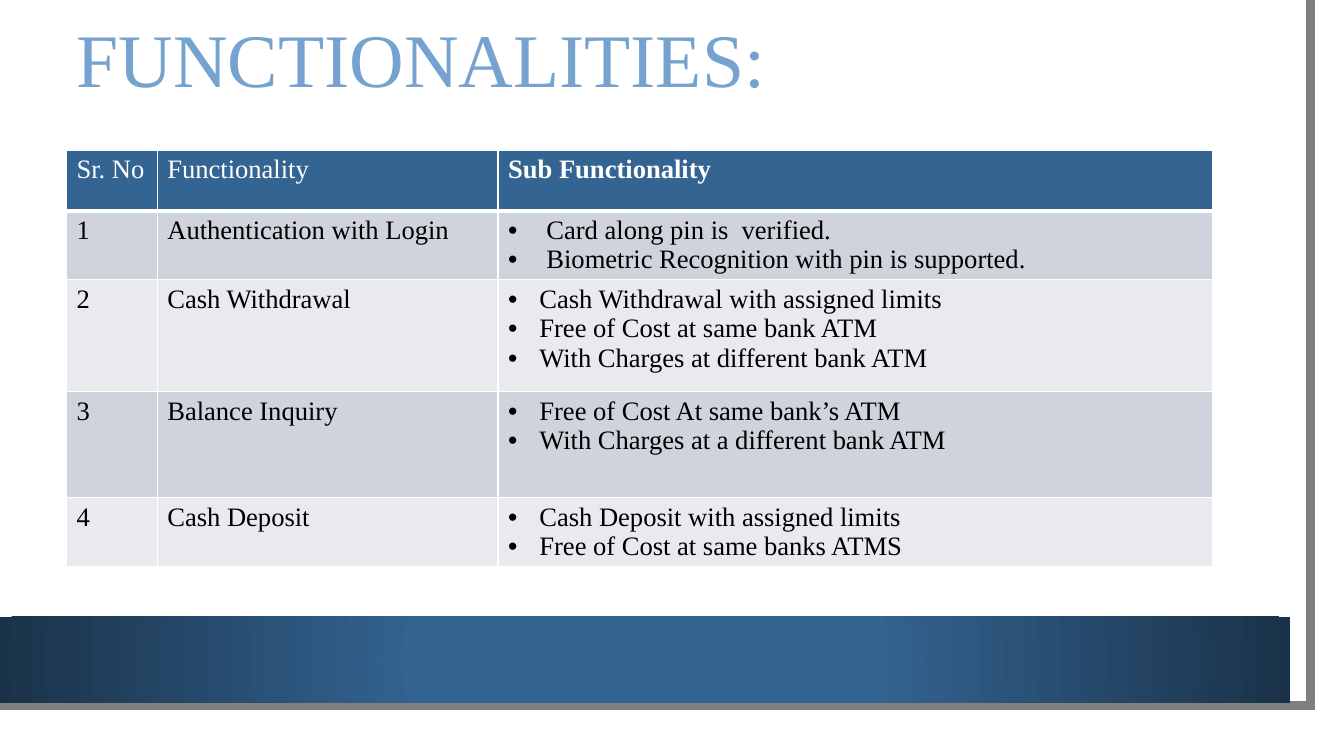
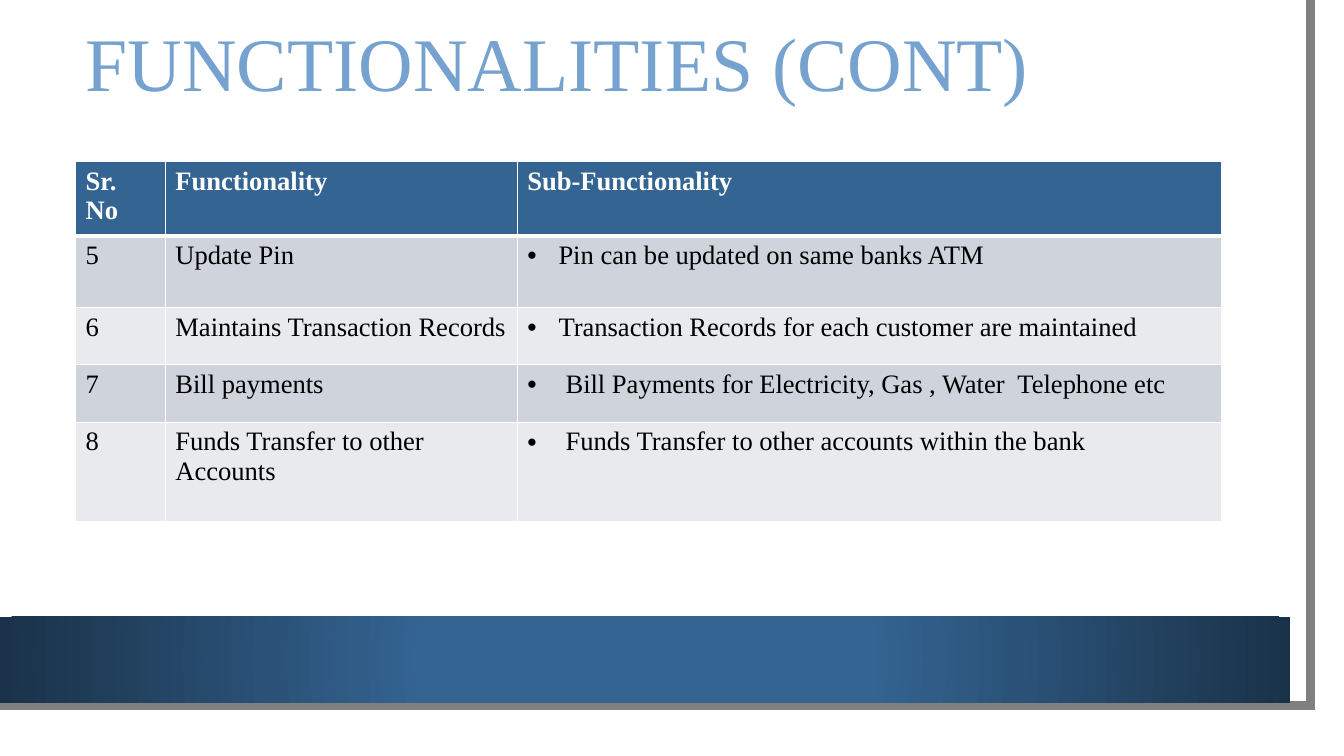
from lxml import etree
from pptx import Presentation
from pptx.dml.color import RGBColor
from pptx.enum.shapes import MSO_SHAPE
from pptx.enum.text import MSO_ANCHOR, MSO_AUTO_SIZE, PP_ALIGN
from pptx.oxml.ns import qn
from pptx.util import Inches, Pt

RECTANGLE = MSO_SHAPE.RECTANGLE
MIDDLE = MSO_ANCHOR.MIDDLE
LEFT = PP_ALIGN.LEFT
NO_AUTOFIT = MSO_AUTO_SIZE.NONE
TITLE_ONLY = 5

FONT = "Times New Roman"
WHITE, BLACK, GRAY = "FFFFFF", "000000", "808080"
BLUE, DARK_BLUE, LIGHT_BLUE = "346492", "1A3249", "75A2CE"
ROW_FILLS = ("CED3DC", "E8EAEE")
TITLE_FONT = {"name": FONT, "size": Pt(54), "bold": False}
TABLE_FONT = {"name": FONT, "size": Pt(19)}
TABLE_WIDTH = 11.37


def color(value):
    return RGBColor.from_string(value)


def apply(target, values):
    for name, value in values.items():
        setattr(target, name, value)


class Deck:
    def __init__(self):
        self.presentation = Presentation()
        apply(self.presentation, {"slide_width": Inches(13.33), "slide_height": Inches(7.5)})
        self.layout = self.presentation.slide_layouts[TITLE_ONLY]
        self.slide = None

    def add_slide(self):
        self.slide = self.presentation.slides.add_slide(self.layout)
        if len(self.presentation.slides) == 1:
            self.add_frame_to_layout()

    def add_frame_to_layout(self):
        layout_tree = self.layout.shapes._spTree
        for placeholder in list(self.layout.placeholders):
            if placeholder.placeholder_format.idx:
                layout_tree.remove(placeholder._element)
        for shape in (self.add_edge(), self.add_band()):
            layout_tree.append(shape._element)

    def add_edge(self):
        builder = self.slide.shapes.build_freeform(12.82, 0, scale=Inches(1))
        builder.add_line_segments([(12.85, 7.02), (0, 7.01)], close=False)
        edge = builder.convert_to_shape()
        edge.shadow.inherit = False
        edge.fill.background()
        edge.line.color.rgb = color(GRAY)
        edge.line.width = Pt(6.5)
        line = edge._element.spPr.find(qn("a:ln"))
        etree.SubElement(line, qn("a:miter"), lim="800000")
        return edge

    def add_band(self):
        band = self.slide.shapes.add_shape(
            RECTANGLE, 0, Inches(6.12), Inches(12.8), Inches(0.85)
        )
        band.shadow.inherit = False
        band.line.fill.background()
        band.fill.gradient()
        for stop, (position, value) in zip(
            band.fill.gradient_stops, ((0.34, BLUE), (1, DARK_BLUE))
        ):
            stop.color.rgb = color(value)
            stop.position = position
        gradient = band._element.spPr.find(qn("a:gradFill"))
        gradient.remove(gradient.find(qn("a:lin")))
        circle = etree.SubElement(gradient, qn("a:path"), path="circle")
        center = dict.fromkeys(("l", "t", "r", "b"), "50000")
        etree.SubElement(circle, qn("a:fillToRect"), center)
        return band

    def add_title(self, text, left, top, height):
        title = self.slide.shapes.title
        apply(title, {
            "left": Inches(left), "top": Inches(top),
            "width": Inches(TABLE_WIDTH), "height": Inches(height),
        })
        frame = title.text_frame
        frame.text = text
        apply(frame, {
            "word_wrap": True, "auto_size": NO_AUTOFIT, "vertical_anchor": MIDDLE,
        })
        paragraph = frame.paragraphs[0]
        apply(paragraph, {"alignment": LEFT, "line_spacing": 0.9})
        font = paragraph.runs[0].font
        apply(font, TITLE_FONT)
        font.color.rgb = color(LIGHT_BLUE)

    def add_table(self, left, top, widths, header, header_height, bold, first, rows):
        heights = [header_height] + [row[0] for row in rows]
        table = self.slide.shapes.add_table(
            len(heights), len(widths), Inches(left), Inches(top),
            Inches(TABLE_WIDTH), Inches(sum(heights)),
        ).table
        for column, width in zip(table.columns, widths):
            column.width = Inches(width)
        for row, height in zip(table.rows, heights):
            row.height = Inches(height)
        for index, text in enumerate(header):
            self.fill_cell(table.cell(0, index), 0, [text], WHITE, bold[index])
        for number, (_, name, indent, items) in enumerate(rows, 1):
            self.fill_cell(table.cell(number, 0), number, [str(first + number - 1)])
            self.fill_cell(table.cell(number, 1), number, [name])
            self.fill_cell(table.cell(number, 2), number, items, indent=indent)

    def fill_cell(self, cell, row, lines, text_color=BLACK, bold=False, indent=0):
        self.add_borders(cell, row)
        cell.fill.solid()
        cell.fill.fore_color.rgb = color(ROW_FILLS[(row - 1) % 2] if row else BLUE)
        frame = cell.text_frame
        frame.text = "\n".join(lines)
        for paragraph in frame.paragraphs:
            font = paragraph.runs[0].font
            apply(font, TABLE_FONT)
            font.bold = bold
            font.color.rgb = color(text_color)
            if indent:
                self.add_bullet(paragraph, indent)

    def add_borders(self, cell, row):
        properties = cell._tc.get_or_add_tcPr()
        thick_side = {0: "B", 1: "T"}.get(row)
        for side in "LRTB":
            width = Pt(3 if side == thick_side else 1)
            line = etree.SubElement(properties, qn(f"a:ln{side}"), w=str(width))
            fill = etree.SubElement(line, qn("a:solidFill"))
            etree.SubElement(fill, qn("a:srgbClr"), val=WHITE)

    def add_bullet(self, paragraph, indent):
        properties = paragraph._p.get_or_add_pPr()
        properties.set("marL", str(Inches(indent)))
        properties.set("indent", str(-Inches(indent)))
        etree.SubElement(properties, qn("a:buFont"), typeface="Arial")
        etree.SubElement(properties, qn("a:buChar"), char="•")


def main():
    deck = Deck()

    deck.add_slide()
    deck.add_title("FUNCTIONALITIES:", 0.66, 0, 1.26)
    deck.add_table(
        0.66, 1.49, (0.9, 3.38, 7.09),
        ("Sr. No", "Functionality", "Sub Functionality"), 0.6, (False, False, True), 1,
        [
            (0.6, "Authentication with Login", 0.38, [
                "Card along pin is  verified.",
                "Biometric Recognition with pin is supported.",
            ]),
            (1.11, "Cash Withdrawal", 0.31, [
                "Cash Withdrawal with assigned limits",
                "Free of Cost at same bank ATM",
                "With Charges at different bank ATM",
            ]),
            (1.05, "Balance Inquiry", 0.31, [
                "Free of Cost At same bank’s ATM",
                "With Charges at a different bank ATM",
            ]),
            (0.6, "Cash Deposit", 0.31, [
                "Cash Deposit with assigned limits",
                "Free of Cost at same banks ATMS",
            ]),
        ],
    )

    deck.add_slide()
    deck.add_title("FUNCTIONALITIES (CONT)", 0.75, 0.24, 0.84)
    deck.add_table(
        0.75, 1.6, (0.89, 3.49, 6.99),
        ("Sr. No", "Functionality", "Sub-Functionality"), 0.74, (True, True, True), 5,
        [
            (0.71, "Update Pin", 0.31, ["Pin can be updated on same banks ATM"]),
            (0.57, "Maintains Transaction Records", 0.31, [
                "Transaction Records for each customer are maintained",
            ]),
            (0.57, "Bill payments", 0.38, [
                "Bill Payments for Electricity, Gas , Water  Telephone etc",
            ]),
            (0.99, "Funds Transfer to other Accounts", 0.38, [
                "Funds Transfer to other accounts within the bank",
            ]),
        ],
    )

    deck.presentation.save("out.pptx")


if __name__ == "__main__":
    main()
